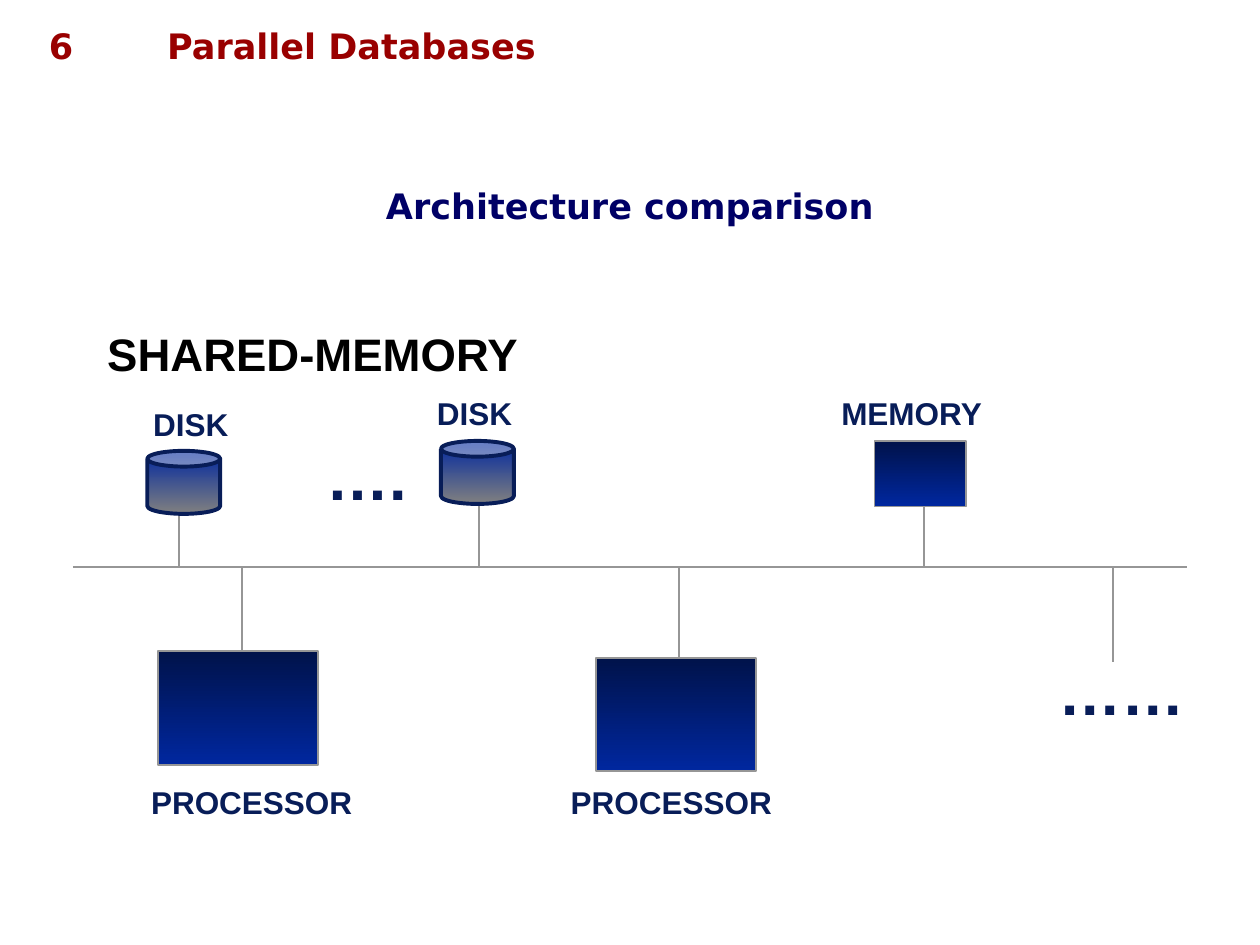
from dataclasses import dataclass
from lxml import etree
from pptx import Presentation
from pptx.dml.color import RGBColor as RGB
from pptx.enum.shapes import MSO_CONNECTOR as Link, MSO_SHAPE as Shape
from pptx.enum.text import MSO_ANCHOR as Anchor, PP_ALIGN as Align
from pptx.util import Cm, Pt


@dataclass
class Theme:
    red: str = "990000"
    navy: str = "000066"
    ink: str = "081D58"
    black: str = "000000"
    grey: str = "969696"
    dark: str = "00124A"
    blue: str = "00279F"
    stone: str = "808080"
    sans: str = "Arial"
    head: str = "DejaVu Sans"
    label: int = 18
    title: int = 20
    topic: int = 26
    dots: int = 36


theme = Theme()
deck = Presentation()
deck.slide_width, deck.slide_height = Cm(25.4), Cm(19.05)
slide = deck.slides.add_slide(deck.slide_layouts[6])
shapes = slide.shapes


def write(text, left, top, width, height, size=theme.label, color=theme.ink,
          face=theme.sans, align=Align.CENTER, anchor=Anchor.TOP, wrap=True):
    box = shapes.add_textbox(Cm(left), Cm(top), Cm(width), Cm(height))
    frame = box.text_frame
    frame.word_wrap = wrap
    frame.vertical_anchor = anchor
    para = frame.paragraphs[0]
    para.text = text
    para.alignment = align
    font = para.font
    font.name, font.size, font.bold = face, Pt(size), True
    font.color.rgb = RGB.from_string(color)


def draw(kind, left, top, width, height, start, end, edge, weight):
    shape = shapes.add_shape(kind, Cm(left), Cm(top), Cm(width), Cm(height))
    shape.shadow.inherit = False
    shape.fill.gradient()
    shape.fill.gradient_angle = 270
    for stop, color in zip(shape.fill.gradient_stops, (start, end)):
        stop.color.rgb = RGB.from_string(color)
    shape.line.color.rgb = RGB.from_string(edge)
    shape.line.width = Pt(weight)


write("Parallel Databases", 3.12, 0.36, 21.62, 1.12, theme.title, theme.red,
      theme.head, Align.LEFT)
write("6", 0.33, 0.36, 1.8, 1.12, theme.title, theme.red, theme.head)
write("Architecture comparison", 0, 3.76, 25.4, 0.76, theme.title, theme.navy,
      theme.head, anchor=Anchor.MIDDLE)
write("SHARED-MEMORY", 1.9, 6.43, 8.81, 1.37, theme.topic, theme.black,
      anchor=Anchor.MIDDLE, wrap=False)

bus = 11.43
wires = [(1.47, bus, 23.93, bus, 1)]
wires += [(x, bus, x, end, 1.25) for x, end in (
    (4.88, 13.34), (13.69, 13.46), (18.62, 9.53),
    (3.61, 9.53), (9.65, 9.5), (22.43, 13.34))]
for x, y, right, end, weight in wires:
    wire = shapes.add_connector(Link.STRAIGHT, Cm(x), Cm(y), Cm(right), Cm(end))
    wire.line.color.rgb = RGB.from_string(theme.grey)
    wire.line.width = Pt(weight)
    props = wire._element.spPr
    etree.SubElement(props, "{http://schemas.openxmlformats.org/drawingml/2006/main}effectLst")

for left, top, width, height in (
        (3.18, 13.13, 3.23, 2.29), (12.01, 13.26, 3.23, 2.29), (17.63, 8.89, 1.85, 1.32)):
    draw(Shape.RECTANGLE, left, top, width, height,
         theme.dark, theme.blue, theme.grey, 1)
for left, top in ((2.97, 9.09), (8.89, 8.89)):
    draw(Shape.CAN, left, top, 1.47, 1.27, theme.blue, theme.stone, theme.ink, 2.25)

for left in (1.9, 10.36):
    write("PROCESSOR", left, 15.67, 6.35, 1.02)
for left, top in ((1.7, 8.05), (7.42, 7.82)):
    write("DISK", left, top, 4.29, 1.02)
write("MEMORY", 16.71, 7.82, 6.35, 1.02, align=Align.LEFT)
for text, left, top, width in (("….", 6.32, 8.69, 2.13), ("……", 21.08, 13.03, 3.05)):
    write(text, left, top, width, 1.78, theme.dots, anchor=Anchor.MIDDLE, wrap=False)

deck.save("out.pptx")
